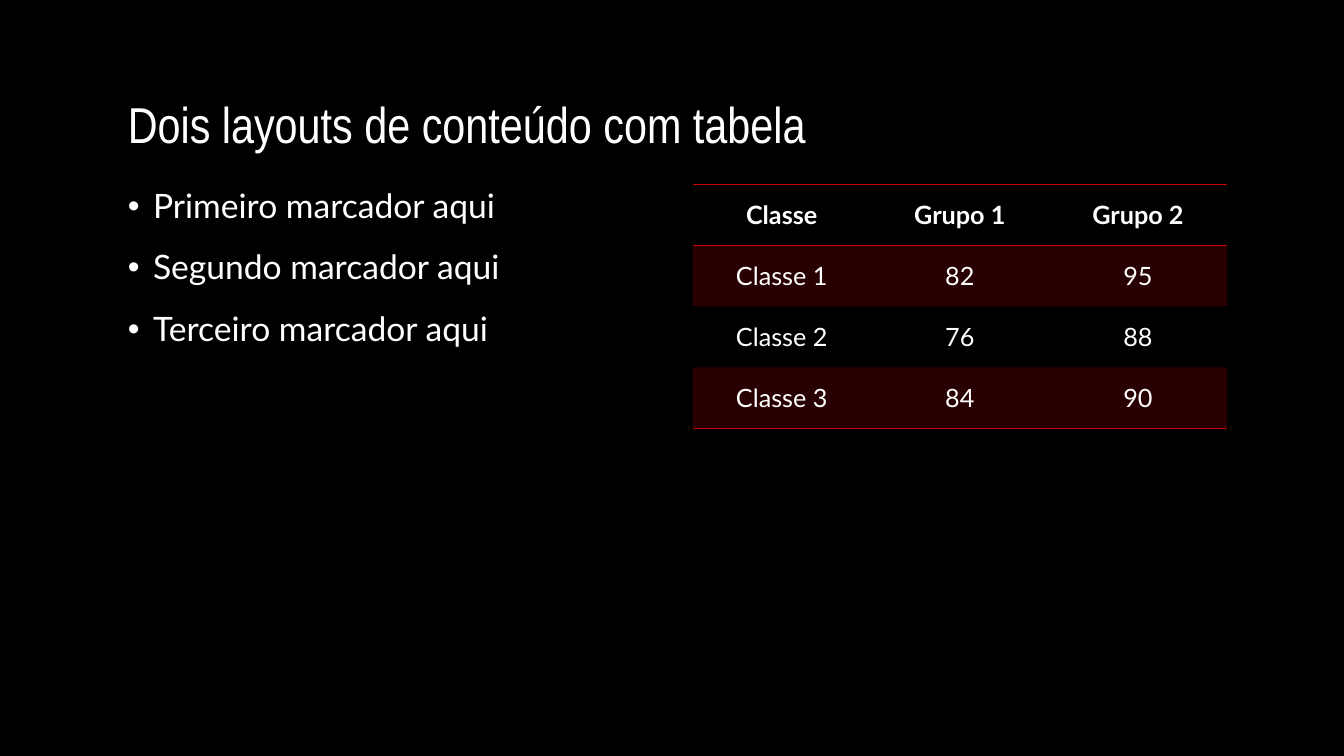
from dataclasses import dataclass

from lxml import etree
from pptx import Presentation
from pptx.dml.color import RGBColor
from pptx.enum import text
from pptx.oxml import ns
from pptx.util import Inches, Pt


@dataclass(frozen=True)
class Theme:
    """Colours, fonts and type sizes of the slide."""
    back: str = "000000"
    ink: str = "FFFFFF"
    red: str = "CD0205"
    tint: int = 20
    head: str = "Arial Narrow"
    body: str = "Lato"
    title: int = 36
    list: int = 24
    cell: int = 18


THEME = Theme()
PLAIN = "{2D5ABB26-0587-4C30-8999-92F81FD0307C}"


def add_tag(parent, name, **attrs):
    """Append a drawing element to a parent and return it."""
    return etree.SubElement(parent, ns.qn(name), attrs)


def write(para, words, size, font=THEME.body, bold=False, align=None,
          line=None, before=None, bullet=None):
    """Fill a paragraph with one formatted run."""
    run = para.add_run()
    run.text = words
    run.font.size = Pt(size)
    run.font.name = font
    run.font.bold = bold
    run.font.color.rgb = RGBColor.from_string(THEME.ink)
    para.alignment = align
    para.line_spacing = line
    if before is not None:
        para.space_before = Pt(before)
    if bullet:
        props = para._p.get_or_add_pPr()
        props.set("marL", str(Inches(0.25)))
        props.set("indent", str(-Inches(0.25)))
        add_tag(props, "a:buFont", typeface="Arial")
        add_tag(props, "a:buChar", char=bullet)


def add_box(slide, box, anchor):
    """Add a wrapping text box and return its frame."""
    frame = slide.shapes.add_textbox(*map(Inches, box)).text_frame
    frame.word_wrap = True
    frame.vertical_anchor = anchor
    return frame


def add_title(slide, box, words):
    """Place the title at the foot of its box."""
    frame = add_box(slide, box, text.MSO_ANCHOR.BOTTOM)
    write(frame.paragraphs[0], words, THEME.title, font=THEME.head, line=0.9)


def add_list(slide, box, items):
    """Place a bulleted list from the top of its box."""
    frame = add_box(slide, box, text.MSO_ANCHOR.TOP)
    for i, item in enumerate(items):
        para = frame.add_paragraph() if i else frame.paragraphs[0]
        write(para, item, THEME.list, line=0.9, before=18, bullet="•")


def add_rule(cell, side):
    """Draw a red rule on one side of a cell."""
    line = add_tag(cell._tc.get_or_add_tcPr(), "a:ln" + side, w=str(Pt(1)))
    fill = add_tag(line, "a:solidFill")
    add_tag(fill, "a:srgbClr", val=THEME.red)


def shade(cell):
    """Fill a cell with the translucent red tint."""
    cell.fill.solid()
    cell.fill.fore_color.rgb = RGBColor.from_string(THEME.red)
    color = cell._tc.tcPr.find(".//" + ns.qn("a:solidFill") + "[last()]")
    color = cell._tc.tcPr.find(ns.qn("a:solidFill"))[0]
    add_tag(color, "a:alpha", val=str(THEME.tint * 1000))


def add_grid(slide, box, rows):
    """Place a ruled table with even columns and tinted odd rows."""
    frame = slide.shapes.add_table(len(rows), len(rows[0]), *map(Inches, box))
    table = frame.table
    table.first_row = table.horz_banding = False
    table._tbl.tblPr.find(ns.qn("a:tableStyleId")).text = PLAIN
    last = len(rows) - 1
    for r, row in enumerate(rows):
        for c, words in enumerate(row):
            cell = table.cell(r, c)
            cell.vertical_anchor = text.MSO_ANCHOR.MIDDLE
            write(cell.text_frame.paragraphs[0], words, THEME.cell,
                  bold=r == 0, align=text.PP_ALIGN.CENTER)
            if r == 0:
                add_rule(cell, "T")
            if r in (0, last):
                add_rule(cell, "B")
            if r % 2:
                shade(cell)
            else:
                cell.fill.background()


def main():
    """Build and save the slide."""
    deck = Presentation()
    deck.slide_width, deck.slide_height = Inches(13.33), Inches(7.5)
    slide = deck.slides.add_slide(deck.slide_layouts[6])
    back = slide.background.fill
    back.solid()
    back.fore_color.rgb = RGBColor.from_string(THEME.back)
    add_title(slide, (1.17, 0.33, 11, 1.25),
              "Dois layouts de conteúdo com tabela")
    add_list(slide, (1.17, 1.83, 5.3, 4.75),
             [f"{rank} marcador aqui"
              for rank in ("Primeiro", "Segundo", "Terceiro")])
    add_grid(slide, (6.87, 1.83, 5.3, 2.42), [
        ("Classe", "Grupo 1", "Grupo 2"),
        ("Classe 1", "82", "95"),
        ("Classe 2", "76", "88"),
        ("Classe 3", "84", "90"),
    ])
    deck.save("out.pptx")


if __name__ == "__main__":
    main()
